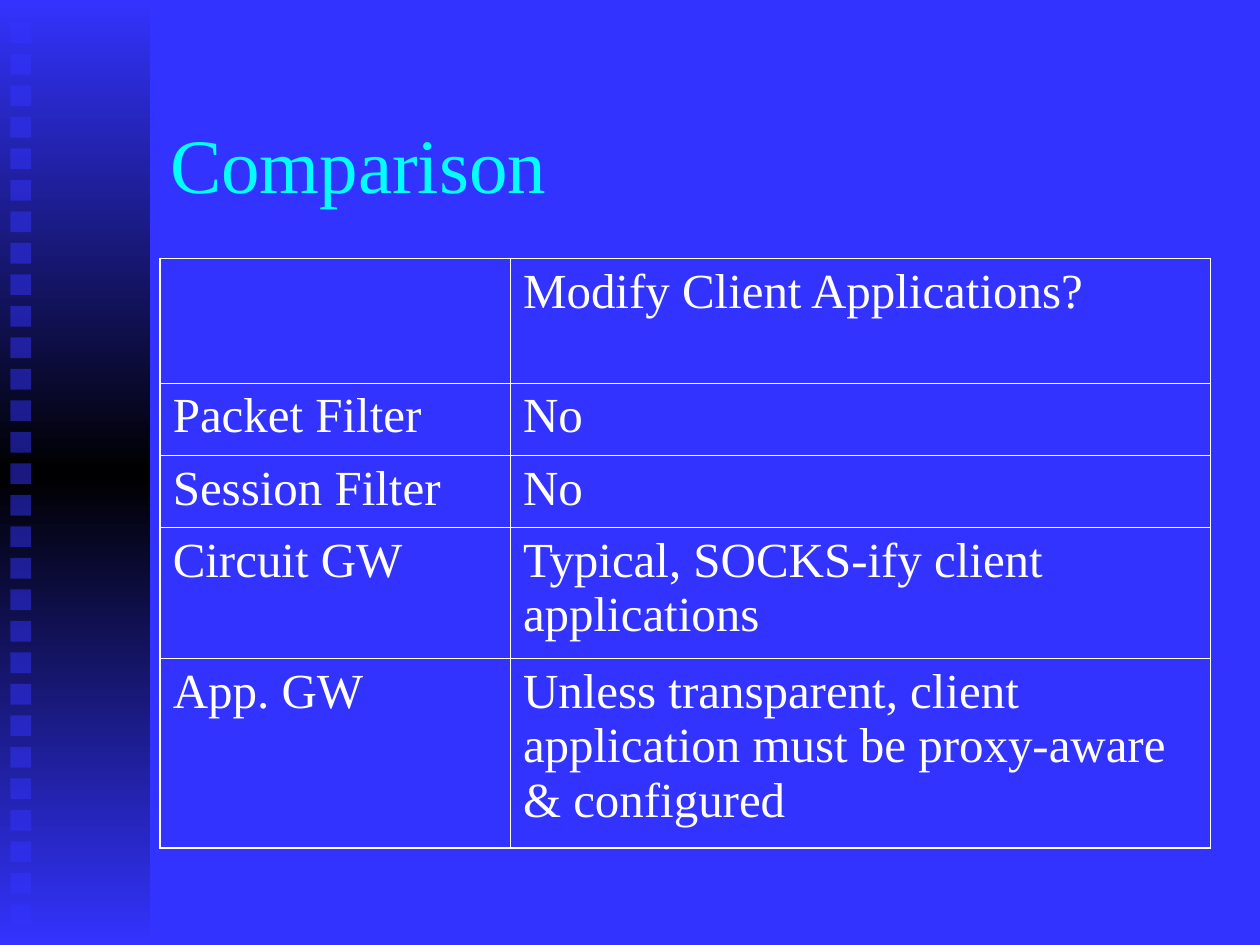
import copy

import pptx
import pptx.dml.color
import pptx.enum.shapes
import pptx.enum.text
import pptx.oxml
import pptx.oxml.ns
import pptx.util
from pptx.util import Cm

BLUE, BLACK, CYAN, WHITE = "3333FF", "000000", "00FFFF", "FFFFFF"
FONT = "Times New Roman"
ROWS = [
    ("", "Modify Client Applications?"),
    ("Packet Filter", "No"),
    ("Session Filter", "No"),
    ("Circuit GW", "Typical, SOCKS-ify client applications"),
    ("App. GW", "Unless transparent, client application must be proxy-aware & configured"),
]
COL_WIDTHS = [7.06, 14.11]
ROW_HEIGHTS = [2.51, 1.47, 1.45, 2.64, 3.81]


def rgb(color):
    """Turn a hex string into a colour."""
    return pptx.dml.color.RGBColor.from_string(color)


def write(tf, text, size=28, color=WHITE, before=0):
    """Write one formatted paragraph into a text frame."""
    p = tf.paragraphs[0]
    p.space_before = pptx.util.Pt(before)
    r = p.add_run()
    r.text = text
    r.font.name, r.font.size = FONT, pptx.util.Pt(size)
    r.font.color.rgb = rgb(color)


def add_rect(shapes, x, y, w, h):
    """Add a rectangle without outline or shadow."""
    s = shapes.add_shape(pptx.enum.shapes.MSO_SHAPE.RECTANGLE, x, y, w, h)
    s.shadow.inherit = False
    s.line.fill.background()
    return s


def add_sidebar(slide, x, y, w, h):
    """Draw the gradient band with its column of translucent squares."""
    shapes = slide.shapes.add_group_shape().shapes
    band = add_rect(shapes, x, y, w, h)
    band.fill.gradient()
    band.fill.gradient_angle = 270
    stops = band._element.spPr.find(".//" + pptx.oxml.ns.qn("a:gsLst"))
    stops.insert(1, copy.deepcopy(stops[0]))
    for i, (stop, color) in enumerate(zip(band.fill.gradient_stops, (BLUE, BLACK, BLUE))):
        stop.position = i / 2
        stop.color.rgb = rgb(color)

    pitch, side = h / 30, Cm(0.42)
    for i in range(29):
        s = add_rect(shapes, x + Cm(0.21), y + Cm(0.45) + round(i * pitch), side, side)
        s.fill.solid()
        s.fill.fore_color.rgb = rgb(BLUE)
        fill = s._element.spPr.find(".//" + pptx.oxml.ns.qn("a:srgbClr"))
        fill.append(pptx.oxml.parse_xml(
            f'<a:alpha {pptx.oxml.ns.nsdecls("a")} val="50000"/>'))


def add_title(slide, x, y, w, h):
    """Place the slide title, centred vertically in its box."""
    tf = slide.shapes.add_textbox(x, y, w, h).text_frame
    tf.word_wrap = True
    tf.vertical_anchor = pptx.enum.text.MSO_ANCHOR.MIDDLE
    write(tf, "Comparison", size=44, color=CYAN)


def set_borders(cell, **widths):
    """Give a cell white borders, with one width in points for each side."""
    tc_pr = cell._tc.get_or_add_tcPr()
    for i, (side, width) in enumerate(widths.items()):
        tc_pr.insert(i, pptx.oxml.parse_xml(
            f'<a:ln{side} {pptx.oxml.ns.nsdecls("a")} w="{pptx.util.Pt(width)}">'
            f'<a:solidFill><a:srgbClr val="{WHITE}"/></a:solidFill></a:ln{side}>'))


def add_comparison(slide, x, y, w, h):
    """Place the table with a heavier outer frame."""
    n_rows, n_cols = len(ROWS), len(COL_WIDTHS)
    table = slide.shapes.add_table(n_rows, n_cols, x, y, w, h).table
    table.first_row = table.horz_banding = False
    for col, width in zip(table.columns, COL_WIDTHS):
        col.width = Cm(width)
    for row, height in zip(table.rows, ROW_HEIGHTS):
        row.height = Cm(height)

    inner, outer = 0.45, 1.08
    for i, texts in enumerate(ROWS):
        for j, text in enumerate(texts):
            cell = table.cell(i, j)
            cell.fill.background()
            set_borders(
                cell,
                L=outer if j == 0 else inner,
                R=outer if j == n_cols - 1 else inner,
                T=outer if i == 0 else inner,
                B=outer if i == n_rows - 1 else inner,
            )
            if text:
                write(cell.text_frame, text, before=7)


def main():
    """Build and save the slide."""
    prs = pptx.Presentation()
    prs.slide_width, prs.slide_height = Cm(25.4), Cm(19.05)
    slide = prs.slides.add_slide(prs.slide_layouts[6])
    slide.background.fill.solid()
    slide.background.fill.fore_color.rgb = rgb(BLUE)
    add_sidebar(slide, 0, 0, Cm(3.02), prs.slide_height)
    add_title(slide, Cm(3.18), Cm(1.7), Cm(21.59), Cm(3.18))
    add_comparison(slide, Cm(3.23), Cm(5.21), Cm(sum(COL_WIDTHS)), Cm(sum(ROW_HEIGHTS)))
    prs.save("out.pptx")


if __name__ == "__main__":
    main()
